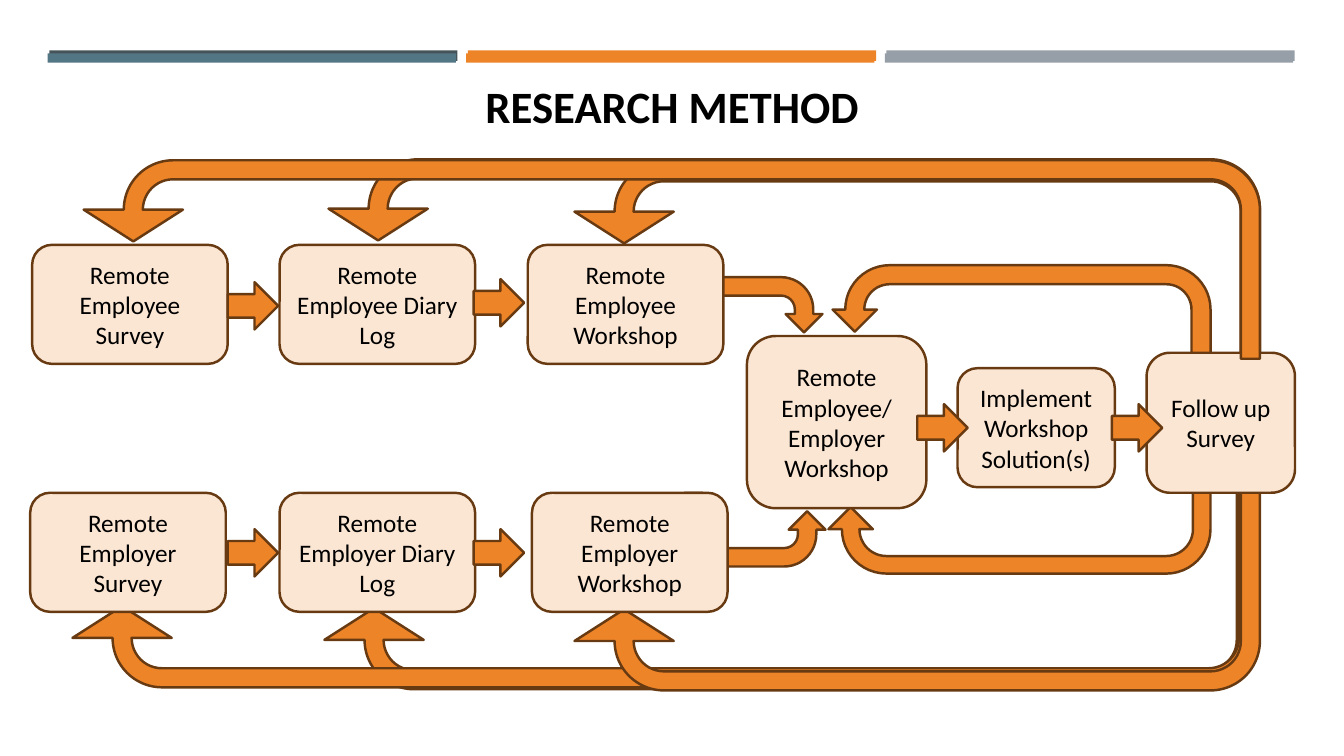
"""Build the research method flow slide."""
from dataclasses import dataclass

from pptx import Presentation
from pptx.dml.color import RGBColor
from pptx.enum import shapes, text
from pptx.util import Pt


@dataclass(frozen=True)
class Theme:
    """Colours, font and sizes of the slide."""
    orange: str = "ED8428"
    brown: str = "683A12"
    cream: str = "FBE6D4"
    slate: str = "465359"
    teal: str = "537685"
    grey: str = "969FA7"
    ink: str = "000000"
    font: str = "Calibri"
    title: float = 32
    label: float = 18
    outline: float = 1.75


THEME = Theme()
KIND = shapes.MSO_SHAPE
LONG_BEND = (0.096, 0.25, 0.16, 0.5, 0.409)
UPPER_BEND = (0.215, 0.25, 0.25, 0.5, 0.75)
LOWER_BEND = (0.198, 0.25, 0.25, 0.5, 0.75)
SHORT_BEND = (0.25, 0.25, 0.25, 0.4375, 0.75)
LONG_HEIGHT, LONG_RIGHT = 141.8, 900
STAGE_SIZE = (139.7, 85)


def add_form(page, kind, area, fill, line=None):
    """Add a flat preset shape with a solid fill and an optional outline."""
    shape = page.shapes.add_shape(kind, *(Pt(length) for length in area))
    shape.shadow.inherit = False
    shape.fill.solid()
    shape.fill.fore_color.rgb = RGBColor.from_string(fill)
    if line:
        shape.line.color.rgb = RGBColor.from_string(line)
        shape.line.width = Pt(THEME.outline)
    else:
        shape.line.fill.background()
    return shape


def write(shape, lines, size, anchor, bold=False):
    """Write centred paragraphs into a shape."""
    frame = shape.text_frame
    frame.word_wrap = True
    frame.vertical_anchor = anchor
    for index, line in enumerate(lines):
        para = frame.add_paragraph() if index else frame.paragraphs[0]
        para.alignment = text.PP_ALIGN.CENTER
        span = para.add_run()
        span.text = line
        span.font.name = THEME.font
        span.font.size = Pt(size)
        span.font.bold = bold
        span.font.color.rgb = RGBColor.from_string(THEME.ink)


def add_title(page, words):
    """Add the slide title."""
    box = page.shapes.add_textbox(Pt(283.7), Pt(46.8), Pt(393.1), Pt(51.1))
    write(box, [words], THEME.title, text.MSO_ANCHOR.BOTTOM, bold=True)


def add_bars(page):
    """Add the three double bars along the top edge."""
    fronts = (THEME.teal, THEME.orange, THEME.grey)
    backs = (THEME.slate, THEME.orange, THEME.grey)
    for left, top, height, fills in ((35.2, 36, 7.5, backs), (34, 38.2, 6.5, fronts)):
        for column, fill in enumerate(fills):
            area = (left + column * 299, top, 291.6, height)
            add_form(page, KIND.RECTANGLE, area, fill)


def add_step(page, area, *lines):
    """Add a rounded box naming one step."""
    box = add_form(page, KIND.ROUNDED_RECTANGLE, area, THEME.cream, THEME.brown)
    write(box, lines, THEME.label, text.MSO_ANCHOR.MIDDLE)


def add_arrow(page, left, top):
    """Add a block arrow to the next step."""
    area = (left, top, 36, 33.8)
    add_form(page, KIND.RIGHT_ARROW, area, THEME.orange, THEME.brown)


def add_bend(page, area, bend, flips=""):
    """Add a U-turn arrow, mirrored along the axes named in flips."""
    arrow = add_form(page, KIND.U_TURN_ARROW, area, THEME.orange, THEME.brown)
    for index, value in enumerate(bend):
        arrow.adjustments[index] = value
    for axis in flips:
        arrow._element.spPr.xfrm.set("flip" + axis.upper(), "1")


def add_long_bend(page, left, top, flips, right=LONG_RIGHT):
    """Add a feedback arrow from the follow up survey to an early step."""
    add_bend(page, (left, top, right - left, LONG_HEIGHT), LONG_BEND, flips)


def main():
    """Build and save the slide."""
    deck = Presentation()
    deck.slide_width, deck.slide_height = Pt(960), Pt(540)
    page = deck.slides.add_slide(deck.slide_layouts[6])
    add_bars(page)

    add_long_bend(page, 231.8, 350.6, "hv", 897.1)
    add_long_bend(page, 51.8, 349.2, "hv", 898.6)
    add_long_bend(page, 234.7, 113.8, "h")
    add_long_bend(page, 410.4, 351.4, "hv")
    add_long_bend(page, 410.4, 115.9, "h")
    add_bend(page, (591.8, 346.3, 272.9, 63.4), LOWER_BEND, "hv")
    add_bend(page, (594.7, 189.4, 270, 63.4), UPPER_BEND, "h")
    add_bend(page, (488.9, 352.1, 100.8, 52.6), SHORT_BEND, "v")
    add_bend(page, (486.7, 198, 100.8, 52.6), SHORT_BEND)

    add_title(page, "RESEARCH METHOD")
    stages = ("Survey", "Diary Log", "Workshop")
    rows = (("Employee", 174.9, (23, 199.7, 377)), ("Employer", 352, (21.6, 199.7, 380)))
    for role, top, lefts in rows:
        for stage, left in zip(stages, lefts):
            add_step(page, (left, top, *STAGE_SIZE), f"Remote {role} {stage}")
    add_step(page, (533.5, 240, 128.2, 123), "Remote Employee/", "Employer Workshop")
    add_step(page, (684, 263, 112.3, 85), "Implement Workshop Solution(s)")
    add_step(page, (819, 252, 106, 100), "Follow up Survey")

    for left, top in ((162.7, 201.6), (162.7, 378), (338.4, 199.4), (338.4, 378),
                      (655.2, 288.7), (794.2, 288.7)):
        add_arrow(page, left, top)
    add_long_bend(page, 59.8, 114.5, "h")
    deck.save("out.pptx")


if __name__ == "__main__":
    main()
